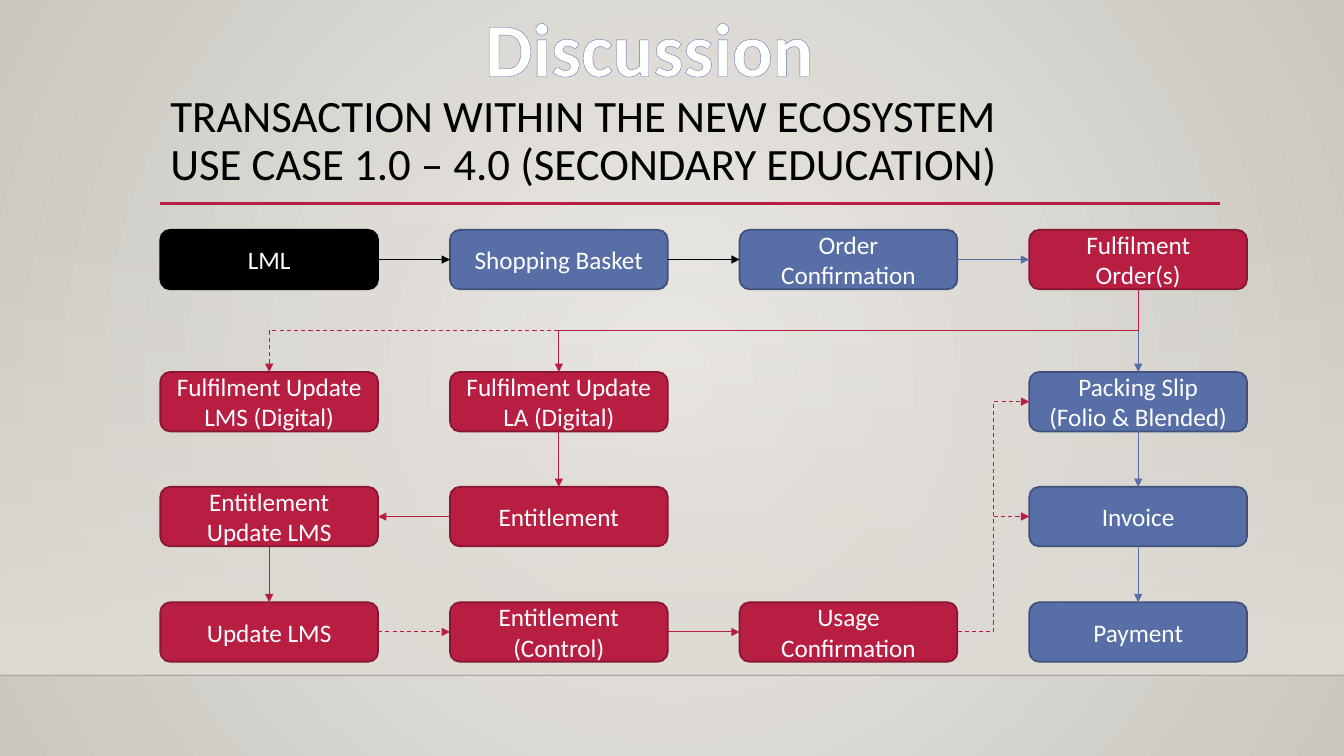
import pptx
import pptx.util
import pptx.dml.color
import pptx.enum.dml
import pptx.enum.shapes
import pptx.enum.text
import pptx.oxml
import pptx.oxml.ns

HUES = {
    "black": "000000", "white": "FFFFFF", "red": "B71E42", "wine": "871631",
    "blue": "586EA6", "navy": "41517B", "pale": "9BA8CA",
    "glow": "ECEAE7", "edge": "CAC7C1", "sand": "DFDBD5",
}
EDGES = {"black": "black", "red": "wine", "blue": "navy"}
FONT = "Calibri"
WIDE, HIGH = 13.33, 7.5
LEFT, PITCH = 1.59, 2.873
BOX_W, BOX_H = 2.16, 0.59
ROWS = [2.28, 3.69, 4.83, 5.975]
TOP, WEST, BASE, EAST = range(4)

NODES = {
    "lml": (0, 0, "black", ["LML"]),
    "basket": (1, 0, "blue", ["Shopping Basket"]),
    "order": (2, 0, "blue", ["Order Confirmation"]),
    "fulfil": (3, 0, "red", ["Fulfilment Order(s)"]),
    "lms": (0, 1, "red", ["Fulfilment Update LMS (Digital)"]),
    "la": (1, 1, "red", ["Fulfilment Update LA (Digital)"]),
    "slip": (3, 1, "blue", ["Packing Slip", "(Folio & Blended)"]),
    "renew": (0, 2, "red", ["Entitlement Update LMS"]),
    "title": (1, 2, "red", ["Entitlement"]),
    "bill": (3, 2, "blue", ["Invoice"]),
    "update": (0, 3, "red", ["Update LMS"]),
    "control": (1, 3, "red", ["Entitlement (Control)"]),
    "usage": (2, 3, "red", ["Usage Confirmation"]),
    "pay": (3, 3, "blue", ["Payment"]),
}
LINKS = [
    ("lml", EAST, "basket", WEST, "black", False),
    ("basket", EAST, "order", WEST, "black", False),
    ("order", EAST, "fulfil", WEST, "blue", False),
    ("fulfil", BASE, "lms", TOP, "red", True),
    ("fulfil", BASE, "slip", TOP, "blue", False),
    ("fulfil", BASE, "la", TOP, "red", False),
    ("la", BASE, "title", TOP, "red", False),
    ("title", WEST, "renew", EAST, "red", False),
    ("renew", BASE, "update", TOP, "red", False),
    ("update", EAST, "control", WEST, "red", True),
    ("control", EAST, "usage", WEST, "red", False),
    ("slip", BASE, "bill", TOP, "blue", False),
    ("usage", EAST, "bill", WEST, "red", True),
    ("bill", BASE, "pay", TOP, "blue", False),
    ("usage", EAST, "slip", WEST, "red", True),
]


def inch(*sizes):
    """Turn lengths in inches into slide units."""
    return [pptx.util.Inches(size) for size in sizes]


def tint(name):
    """Look up a colour by name."""
    return pptx.dml.color.RGBColor.from_string(HUES[name])


def node(tag, **pairs):
    """Make a drawing element with the given values."""
    item = pptx.oxml.parse_xml(f"<a:{tag} {pptx.oxml.ns.nsdecls('a')}/>")
    for key, value in pairs.items():
        item.set(key, str(value))
    return item


def fade(color, share):
    """Give a solid or gradient colour an opacity in percent."""
    color.append(node("alpha", val=share * 1000))


def write(para, text, size, hue):
    """Add one run to a paragraph."""
    run = para.add_run()
    run.text = text
    run.font.name = FONT
    run.font.size = pptx.util.Pt(size)
    run.font.color.rgb = tint(hue)
    return run


def blend(fill, first, last):
    """Set a gradient between two colours."""
    fill.gradient()
    for stop, place, hue in zip(fill.gradient_stops, (0, 1), (first, last)):
        stop.position = place
        stop.color.rgb = tint(hue)


def ground(slide):
    """Paint the glowing background and its lower band."""
    fill = slide.background.fill
    blend(fill, "glow", "edge")
    grad = slide.background._cSld.find(".//" + pptx.oxml.ns.qn("a:gradFill"))
    ring = node("path", path="circle")
    ring.append(node("fillToRect", l=50000, t=50000, r=50000, b=50000))
    grad.replace(grad.find(pptx.oxml.ns.qn("a:lin")), ring)
    band = slide.shapes.add_shape(
        pptx.enum.shapes.MSO_SHAPE.RECTANGLE, *inch(0, 2.21, WIDE, 4.49))
    band.shadow.inherit = False
    band.line.fill.background()
    blend(band.fill, "sand", "sand")
    band.fill.gradient_angle = 270
    fade(next(band._element.spPr.iter(pptx.oxml.ns.qn("a:srgbClr"))), 0)


def stroke(slide, start, end, hue, width, kind="STRAIGHT"):
    """Draw a plain connector between two points."""
    style = getattr(pptx.enum.shapes.MSO_CONNECTOR, kind)
    line = slide.shapes.add_connector(style, *inch(*start, *end))
    line.line.color.rgb = tint(hue)
    line.line.width = pptx.util.Pt(width)
    line._element.spPr.append(node("effectLst"))
    return line


def box(slide, col, row, hue, lines):
    """Place a rounded step on the grid."""
    step = slide.shapes.add_shape(
        pptx.enum.shapes.MSO_SHAPE.ROUNDED_RECTANGLE,
        *inch(LEFT + col * PITCH, ROWS[row], BOX_W, BOX_H))
    step.shadow.inherit = False
    step.fill.solid()
    step.fill.fore_color.rgb = tint(hue)
    step.line.color.rgb = tint(EDGES[hue])
    step.line.width = pptx.util.Pt(1.25)
    frame = step.text_frame
    frame.word_wrap = True
    frame.vertical_anchor = pptx.enum.text.MSO_ANCHOR.MIDDLE
    for spot, text in enumerate(lines):
        para = frame.add_paragraph() if spot else frame.paragraphs[0]
        para.alignment = pptx.enum.text.PP_ALIGN.CENTER
        write(para, text, 18, "white")
    return step


def link(slide, source, out, target, into, hue, dashed):
    """Join two steps with an arrow, bent where they are not in line."""
    bent = source.left != target.left and source.top != target.top
    line = stroke(slide, (0, 0), (1, 1), hue, 0.75, "ELBOW" if bent else "STRAIGHT")
    line.begin_connect(source, out)
    line.end_connect(target, into)
    if bent and out == BASE:
        mid_x, mid_y = line.left + line.width // 2, line.top + line.height // 2
        wide, high = line.height, line.width
        line.begin_x, line.begin_y = mid_x - wide // 2, mid_y - high // 2
        line.end_x, line.end_y = line.begin_x + wide, line.begin_y + high
        form = line._element.spPr.find(pptx.oxml.ns.qn("a:xfrm"))
        form.set("rot", "5400000")
    if dashed:
        line.line.dash_style = pptx.enum.dml.MSO_LINE.DASH
    line.line._get_or_add_ln().append(node("tailEnd", type="triangle"))


def head(slide):
    """Fill the title placeholder."""
    title = slide.shapes.title
    title.left, title.top, title.width, title.height = inch(LEFT, 0.88, 10.5, 1.15)
    frame = title.text_frame
    frame.word_wrap = True
    frame.vertical_anchor = pptx.enum.text.MSO_ANCHOR.TOP
    para = frame.paragraphs[0]
    para.alignment = pptx.enum.text.PP_ALIGN.LEFT
    para.line_spacing = 0.9
    write(para, "TRANSACTION WITHIN THE NEW ECOSYSTEM", 32, "black")
    para.add_line_break()
    write(para, "USE CASE 1.0 – 4.0 (SECONDARY EDUCATION)", 32, "black")


def banner(slide):
    """Add the outlined word at the top."""
    frame = slide.shapes.add_textbox(*inch(LEFT, -0.04, 9.7, 1.01)).text_frame
    frame.word_wrap = True
    para = frame.paragraphs[0]
    para.alignment = pptx.enum.text.PP_ALIGN.CENTER
    run = write(para, "Discussion", 54, "white")
    run.font.bold = True
    props = run._r.get_or_add_rPr()
    weave = node("pattFill", prst="ltDnDiag")
    rim = node("ln", w=12700)
    for owner, tag, hue in ((weave, "fgClr", "pale"), (weave, "bgClr", "white"),
                            (rim, "solidFill", "blue")):
        part = node(tag)
        part.append(node("srgbClr", val=HUES[hue]))
        owner.append(part)
    props.replace(props.find(pptx.oxml.ns.qn("a:solidFill")), weave)
    props.insert(0, rim)


def main():
    """Build the slide and save it."""
    deck = pptx.Presentation()
    deck.slide_width, deck.slide_height = inch(WIDE, HIGH)
    slide = deck.slides.add_slide(deck.slide_layouts[5])
    ground(slide)
    floor = stroke(slide, (0, 6.7), (WIDE, 6.7), "black", 1)
    fade(next(floor._element.spPr.iter(pptx.oxml.ns.qn("a:srgbClr"))), 20)
    stroke(slide, (LEFT, 2.02), (12.1, 2.02), "red", 2.5)
    head(slide)
    steps = {name: box(slide, *data) for name, data in NODES.items()}
    for source, out, target, into, hue, dashed in LINKS:
        link(slide, steps[source], out, steps[target], into, hue, dashed)
    banner(slide)
    deck.save("out.pptx")


if __name__ == "__main__":
    main()
